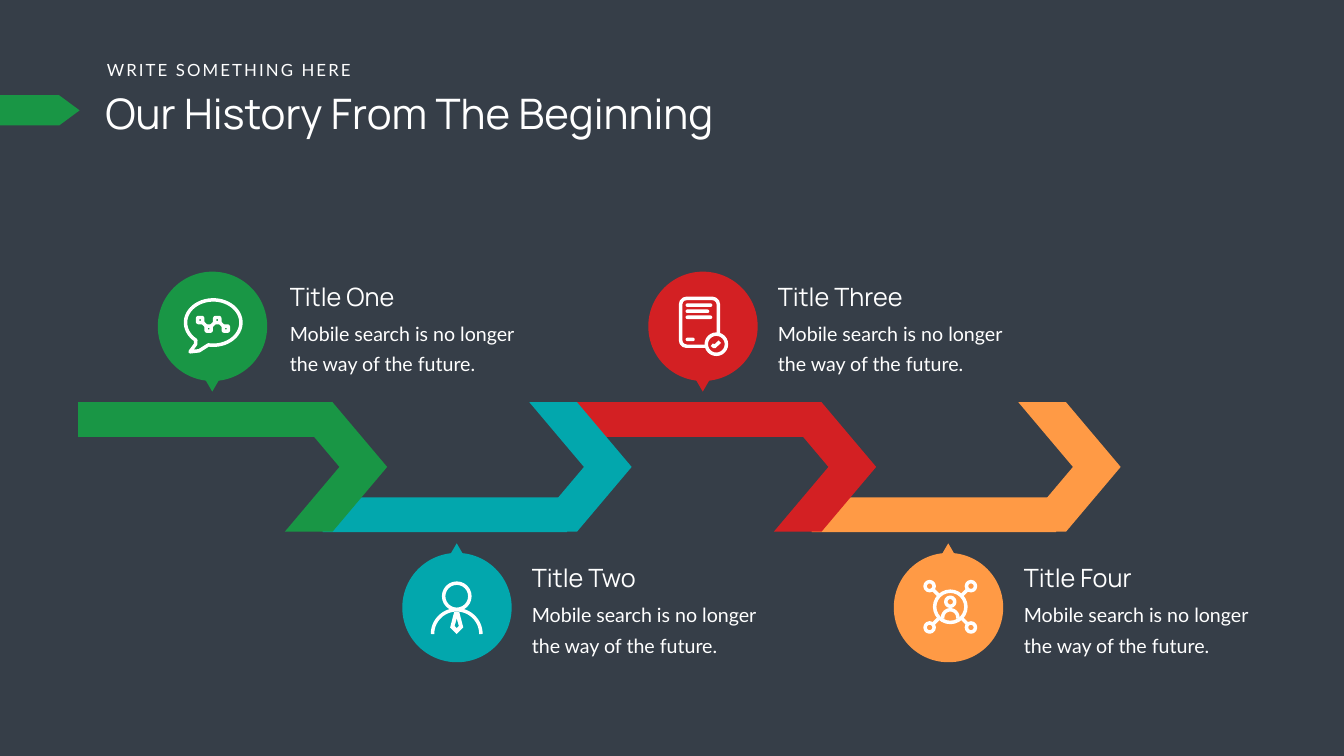
"""Build a four-step history timeline slide."""
import math

import pptx
import pptx.dml.color
import pptx.enum.shapes
import pptx.util

Inches = pptx.util.Inches
SHAPE = pptx.enum.shapes.MSO_SHAPE
WHITE, GREEN, TEAL, RED, ORANGE = "FFFFFF", "199645", "02A7AD", "D32023", "FF9A45"
COLORS = [GREEN, TEAL, RED, ORANGE]
STEP = 4.85
STROKE = 5
BODY = "Mobile search is no longer the way of the future."


def rgb(value):
    """Return the colour for a hex string."""
    return pptx.dml.color.RGBColor.from_string(value)


def paint(sp, fill=None, line=None):
    """Set fill and outline of a shape, either of which may be absent."""
    sp.shadow.inherit = False
    if fill:
        sp.fill.solid()
        sp.fill.fore_color.rgb = rgb(fill)
    else:
        sp.fill.background()
    if line:
        sp.line.color.rgb = rgb(line)
        sp.line.width = pptx.util.Pt(STROKE)
    else:
        sp.line.fill.background()
    return sp


def add_shape(s, kind, x, y, w, h, fill=None, line=None, adj=None):
    """Add a preset shape."""
    sp = s.shapes.add_shape(kind, Inches(x), Inches(y), Inches(w), Inches(h))
    if adj is not None:
        sp.adjustments[0] = adj
    return paint(sp, fill, line)


def add_circle(s, x, y, radius, fill=None, line=None):
    """Add a circle around a centre point."""
    return add_shape(s, SHAPE.OVAL, x - radius, y - radius, 2 * radius, 2 * radius, fill, line)


def add_path(s, points, fill=None, line=None, close=False):
    """Add a freeform through the given points."""
    points = [(Inches(x), Inches(y)) for x, y in points]
    builder = s.shapes.build_freeform(*points[0])
    builder.add_line_segments(points[1:], close=close)
    return paint(builder.convert_to_shape(), fill, line)


def arc(x, y, rx, ry, start, end, steps=48):
    """Return points along an elliptical arc, angles in degrees."""
    angles = [math.radians(start + (end - start) * i / steps) for i in range(steps + 1)]
    return [(x + rx * math.cos(a), y + ry * math.sin(a)) for a in angles]


def add_text(s, x, y, w, h, text, size, font, wrap=True, inset=(0.1, 0.05), leading=None, tracking=None):
    """Add a white single-paragraph text box."""
    tf = s.shapes.add_textbox(Inches(x), Inches(y), Inches(w), Inches(h)).text_frame
    tf.word_wrap = wrap
    tf.margin_left = tf.margin_right = Inches(inset[0])
    tf.margin_top = tf.margin_bottom = Inches(inset[1])
    p = tf.paragraphs[0]
    r = p.add_run()
    r.text = text
    p.font.size = pptx.util.Pt(size)
    p.font.name = font
    p.font.color.rgb = rgb(WHITE)
    if leading:
        p.line_spacing = pptx.util.Pt(leading)
    if tracking:
        r._r.get_or_add_rPr().set("spc", str(tracking * 100))


def add_header(s):
    """Add the heading, the line above it and the side marker."""
    add_text(s, 1.99, 1.68, 16.06, 1.11, "Our History From The Beginning", 60, "Manrope")
    add_text(s, 2.02, 1.13, 5.14, 0.5, "WRITE SOMETHING HERE", 24, "Lato", wrap=False, tracking=3)
    add_shape(s, SHAPE.PENTAGON, 0, 1.89, 1.58, 0.6, GREEN, adj=0.678)


def add_ribbon(s):
    """Add the interlocking arrows, the last one at the back."""
    for i, color in reversed(list(enumerate(COLORS))):
        x = 1.55 + i * STEP
        add_shape(s, SHAPE.CHEVRON, x + 4.1, 7.98, 2.03, 2.57, color, adj=0.534)
        add_shape(s, SHAPE.RECTANGLE, x, 9.87 if i % 2 else 7.98, STEP, 0.69, color)


def add_milestone(s, x, text_x, title_w, title, color, below):
    """Add a pin with its title and description."""
    add_shape(s, SHAPE.OVAL, x, 10.97 if below else 5.39, 2.17, 2.17, color)
    tip = add_shape(s, SHAPE.ISOSCELES_TRIANGLE, x + 0.9, 10.78 if below else 7.46, 0.36, 0.31, color)
    tip.rotation = 0 if below else 180
    y = 11.11 if below else 5.53
    add_text(s, text_x, y, title_w, 0.71, title, 36, "Manrope")
    add_text(s, text_x - 0.14, y + 0.61, 5.04, 1.38, BODY, 28, "Lato", inset=(0.24, 0.12), leading=43)


def add_chat_icon(s):
    """Add a speech bubble holding a small line graph."""
    tail = [(3.88, 6.83), (3.77, 6.98), (3.95, 6.96)]
    add_path(s, arc(4.23, 6.4, 0.55, 0.45, 460, 129) + tail, line=WHITE, close=True)
    nodes = [(3.97 + 0.17 * i, 6.52 if i % 2 else 6.35) for i in range(4)]
    add_path(s, nodes, line=WHITE)
    for x, y in nodes:
        add_shape(s, SHAPE.ROUNDED_RECTANGLE, x - 0.05, y - 0.05, 0.1, 0.1, GREEN, WHITE)


def add_person_icon(s):
    """Add a person wearing a tie."""
    add_circle(s, 9.06, 11.83, 0.26, line=WHITE)
    add_path(s, arc(9.06, 12.58, 0.48, 0.48, 180, 360), line=WHITE)
    tie = [(9.01, 12.14), (8.93, 12.45), (9.06, 12.58), (9.19, 12.45), (9.11, 12.14)]
    add_path(s, tie, fill=WHITE, close=True)
    add_path(s, [(9.06, 12.28), (9.02, 12.42), (9.06, 12.46), (9.1, 12.42)], fill=TEAL, close=True)


def add_document_icon(s):
    """Add a page of text with a check badge."""
    add_shape(s, SHAPE.ROUNDED_RECTANGLE, 13.5, 5.92, 0.75, 0.95, line=WHITE, adj=0.16)
    for y, w in [(6.02, 0.53), (6.14, 0.47), (6.26, 0.53), (6.7, 0.18)]:
        add_shape(s, SHAPE.ROUNDED_RECTANGLE, 13.6, y, w, 0.07, WHITE, adj=0.5)
    add_circle(s, 14.21, 6.83, 0.2, RED, WHITE)
    add_path(s, [(14.12, 6.84), (14.17, 6.88), (14.28, 6.78)], line=WHITE)


def add_network_icon(s):
    """Add a person in a ring linked to four nodes."""
    x, y = 18.85, 12.04
    for dx in (-1, 1):
        for dy in (-1, 1):
            add_path(s, [(x + 0.22 * dx, y + 0.22 * dy), (x + 0.35 * dx, y + 0.35 * dy)], line=WHITE)
            add_circle(s, x + 0.41 * dx, y + 0.41 * dy, 0.09, ORANGE, WHITE)
    add_circle(s, x, y, 0.31, line=WHITE)
    add_circle(s, x, 11.94, 0.09, line=WHITE)
    add_path(s, arc(x, 12.25, 0.15, 0.15, 170, 370), line=WHITE)


def main():
    """Build and save the slide."""
    prs = pptx.Presentation()
    prs.slide_width, prs.slide_height = Inches(26.66), Inches(15)
    s = prs.slides.add_slide(prs.slide_layouts[6])
    s.background.fill.solid()
    s.background.fill.fore_color.rgb = rgb("363E48")
    add_header(s)
    add_ribbon(s)
    milestones = [
        (3.13, 5.65, 3.08, "Title One"),
        (7.98, 10.45, 3.31, "Title Two"),
        (12.86, 15.33, 3.87, "Title Three"),
        (17.73, 20.21, 3.42, "Title Four"),
    ]
    for i, (milestone, color) in enumerate(zip(milestones, COLORS)):
        add_milestone(s, *milestone, color, below=i % 2 == 1)
    for add_icon in (add_chat_icon, add_person_icon, add_document_icon, add_network_icon):
        add_icon(s)
    prs.save("out.pptx")


if __name__ == "__main__":
    main()
